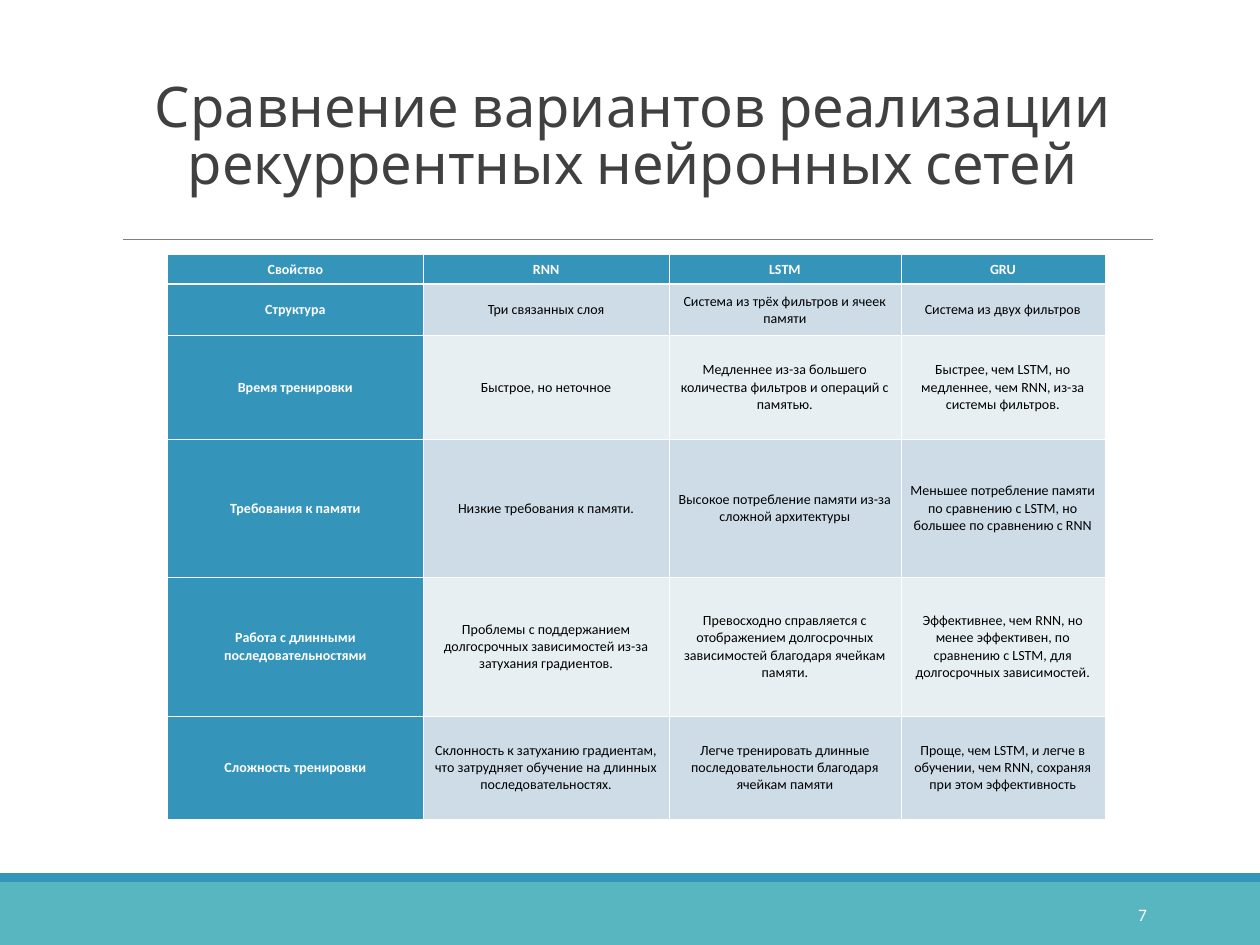
from lxml import etree
from pptx import Presentation, util as u
from pptx.dml.color import RGBColor
from pptx.enum import shapes, text
from pptx.oxml.ns import qn

W, H = 10, 7.5
BLUE, TEAL, WHITE = "3494BA", "58B6C0", "FFFFFF"
BANDS = ["CDDCE7", "E8EFF3"]
COLS = [2.03, 1.95, 1.84, 1.62]
ROWS = [0.23, 0.41, 0.82, 1.1, 1.1, 0.82]
TITLE = "Сравнение вариантов реализации рекуррентных нейронных сетей"
DATA = [
    ["Свойство", "RNN", "LSTM", "GRU"],
    ["Структура", "Три связанных слоя",
     "Система из трёх фильтров и ячеек памяти", "Система из двух фильтров"],
    ["Время тренировки", "Быстрое, но неточное",
     "Медленнее из-за большего количества фильтров и операций с памятью.",
     "Быстрее, чем LSTM, но медленнее, чем RNN, из-за системы фильтров."],
    ["Требования к памяти", "Низкие требования к памяти.",
     "Высокое потребление памяти из-за сложной архитектуры",
     "Меньшее потребление памяти по сравнению с LSTM, но большее по сравнению с RNN"],
    ["Работа с длинными последовательностями",
     "Проблемы с поддержанием долгосрочных зависимостей из-за затухания градиентов.",
     "Превосходно справляется с отображением долгосрочных зависимостей благодаря ячейкам памяти.",
     "Эффективнее, чем RNN, но менее эффективен, по сравнению с LSTM, для долгосрочных зависимостей."],
    ["Сложность тренировки",
     "Склонность к затуханию градиентам, что затрудняет обучение на длинных последовательностях.",
     "Легче тренировать длинные последовательности благодаря ячейкам памяти",
     "Проще, чем LSTM, и легче в обучении, чем RNN, сохраняя при этом эффективность"],
]


def rgb(color):
    return RGBColor.from_string(color)


def inches(box):
    return [u.Inches(v) for v in box]


def write(tf, words, size, font, color, align, bold=False):
    tf.text = words
    tf.word_wrap = True
    tf.vertical_anchor = text.MSO_ANCHOR.MIDDLE
    p = tf.paragraphs[0]
    p.alignment = align
    f = p.runs[0].font
    f.size, f.name, f.bold = u.Pt(size), font, bold
    f.color.rgb = rgb(color)
    return p


def add_bar(s, box, color):
    sp = s.shapes.add_shape(shapes.MSO_SHAPE.RECTANGLE, *inches(box))
    sp.shadow.inherit = False
    sp.fill.solid()
    sp.fill.fore_color.rgb = rgb(color)
    sp.line.fill.background()


def add_title(s, box):
    left, top, width, height = box
    sp = s.shapes.title
    sp.left, sp.top, sp.width, sp.height = inches(box)
    p = write(sp.text_frame, TITLE, 32, "Cabin", "404040", text.PP_ALIGN.CENTER)
    p.line_spacing = 0.85
    # Rule along the foot of the title
    y = top + height
    rule = s.shapes.add_connector(shapes.MSO_CONNECTOR.STRAIGHT,
                                  *inches([left + 0.08, y, left + width, y]))
    rule.line.color.rgb = rgb("7F7F7F")
    rule.line.width = u.Pt(0.5)
    etree.SubElement(rule._element.spPr, qn("a:effectLst"))


def set_borders(cell, widths):
    tc_pr = cell._tc.get_or_add_tcPr()
    for side, width in widths.items():
        ln = etree.SubElement(tc_pr, qn("a:ln" + side), w=str(u.Pt(width)))
        fill = etree.SubElement(ln, qn("a:solidFill"))
        etree.SubElement(fill, qn("a:srgbClr"), val=WHITE)


def add_comparison(s, left, top):
    box = inches([left, top, sum(COLS), sum(ROWS)])
    table = s.shapes.add_table(len(ROWS), len(COLS), *box).table
    for col, width in zip(table.columns, COLS):
        col.width = u.Inches(width)
    for i, height in enumerate(ROWS):
        table.rows[i].height = u.Inches(height)
        for j, words in enumerate(DATA[i]):
            cell = table.cell(i, j)
            head = i == 0 or j == 0
            cell.margin_left = cell.margin_right = u.Inches(0.05)
            cell.margin_top = cell.margin_bottom = u.Inches(0.05)
            cell.vertical_anchor = text.MSO_ANCHOR.MIDDLE
            write(cell.text_frame, words, 8, "Calibri", WHITE if head else "000000",
                  text.PP_ALIGN.CENTER, head)
            # Heavier line under the header row
            set_borders(cell, {"L": 0.45, "R": 0.45,
                               "T": 1.47 if i == 1 else 0.45,
                               "B": 1.47 if i == 0 else 0.45})
            cell.fill.solid()
            cell.fill.fore_color.rgb = rgb(BLUE if head else BANDS[(i - 1) % 2])


def add_footer(s, top):
    add_bar(s, [0, top, W, H - top], TEAL)
    add_bar(s, [0, top - 0.07, W, 0.07], BLUE)
    tb = s.shapes.add_textbox(*inches([8.12, top + 0.06, 1.08, 0.4]))
    write(tb.text_frame, "7", 10, "Calibri", WHITE, text.PP_ALIGN.RIGHT)


def main():
    prs = Presentation()
    prs.slide_width, prs.slide_height = inches([W, H])
    s = prs.slides.add_slide(prs.slide_layouts[5])
    add_footer(s, 7)
    add_title(s, [0.9, 0.31, 8.25, 1.59])
    add_comparison(s, 1.33, 2.02)
    prs.save("out.pptx")


if __name__ == "__main__":
    main()
